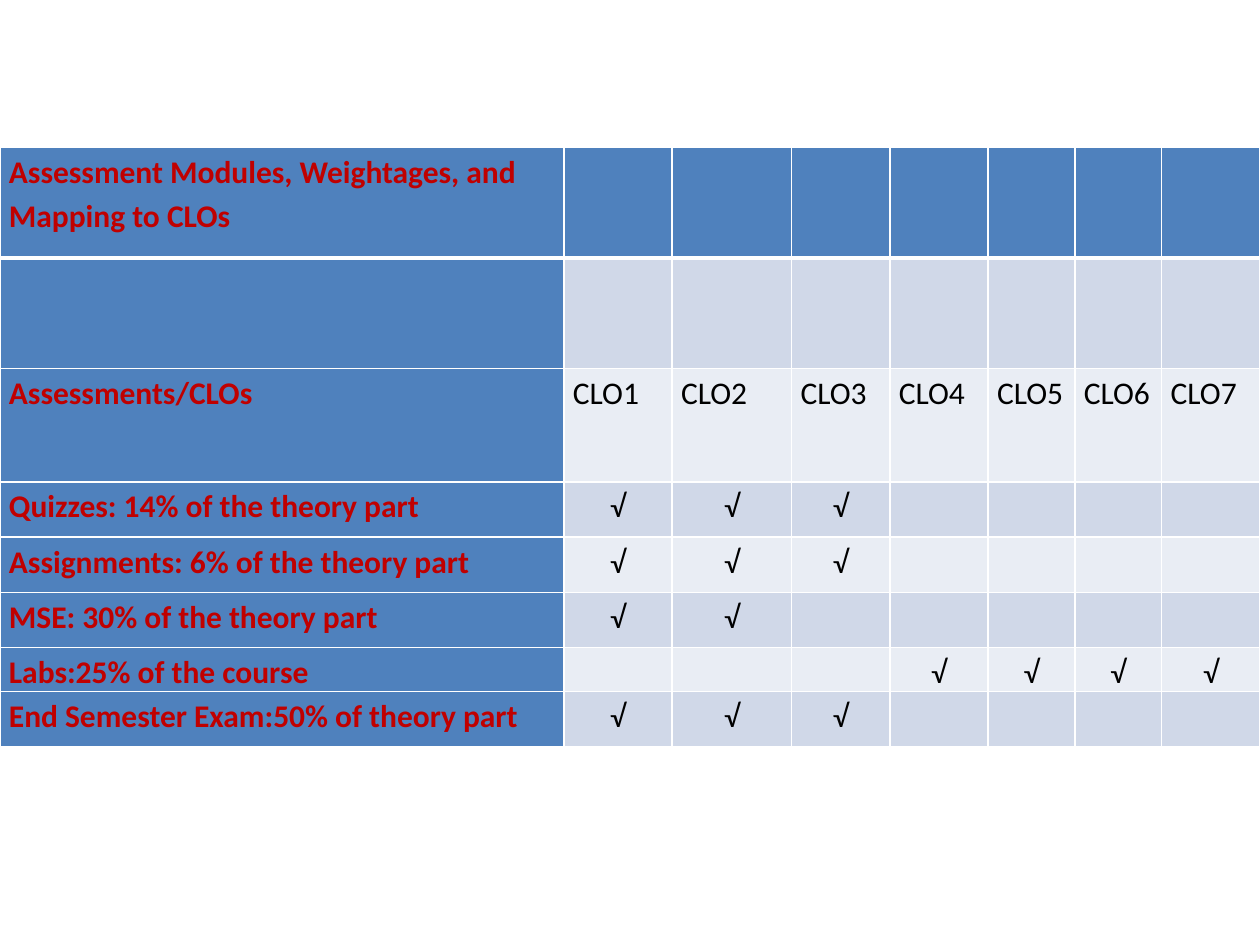
from lxml import etree
from pptx import Presentation
from pptx.dml.color import RGBColor
from pptx.enum.text import PP_ALIGN
from pptx.oxml.ns import qn
from pptx.util import Cm, Pt

LEFT, CENTER = PP_ALIGN.LEFT, PP_ALIGN.CENTER

COLORS = {
    "label fill": "4F81BD",
    "dark band": "D0D8E8",
    "light band": "E9EDF4",
    "border": "FFFFFF",
    "label text": "C00000",
    "text": "000000",
}
CHECK = "√"
COLUMN_WIDTHS = [11.37, 2.18, 2.41, 1.98, 1.98, 1.75, 1.75, 1.98]

# Row height, label, and the CLO numbers that are checked
ASSESSMENTS = [
    (1.11, "Quizzes: 14% of the theory part", (1, 2, 3)),
    (1.11, "Assignments: 6% of the theory part", (1, 2, 3)),
    (1.11, "MSE: 30% of the theory part", (1, 2)),
    (0.89, "Labs:25% of the course", (4, 5, 6, 7)),
    (1.11, "End Semester Exam:50% of theory part", (1, 2, 3)),
]


class SlideBuilder:
    font_name = "Calibri"
    font_size = Pt(18)

    def __init__(self, slide):
        self.slide = slide

    def add_table(self, left, top, widths, heights, rows):
        frame = self.slide.shapes.add_table(
            len(rows), len(widths), Cm(left), Cm(top),
            Cm(sum(widths)), Cm(sum(heights)))
        table = frame.table
        table.first_row = table.horz_banding = False
        for column, width in zip(table.columns, widths):
            column.width = Cm(width)
        for row, height in zip(table.rows, heights):
            row.height = Cm(height)
        for row_index, texts in enumerate(rows):
            for column_index, text in enumerate(texts):
                self.fill_cell(table.cell(row_index, column_index),
                               text, row_index, column_index)

    def fill_cell(self, cell, text, row_index, column_index):
        is_label = column_index == 0
        cell.margin_left = cell.margin_right = Cm(0.18)
        cell.margin_top = cell.margin_bottom = 0
        # The rule below the heading row is thicker
        self.add_borders(cell, {
            "L": 1, "R": 1,
            "T": 3 if row_index == 1 else 1,
            "B": 3 if row_index == 0 else 1,
        })
        if is_label or row_index == 0:
            fill = "label fill"
        else:
            fill = "dark band" if row_index % 2 else "light band"
        cell.fill.solid()
        cell.fill.fore_color.rgb = RGBColor.from_string(COLORS[fill])
        if text:
            self.add_text(cell, text, is_label)

    def add_borders(self, cell, widths):
        properties = cell._tc.get_or_add_tcPr()
        for side, width in widths.items():
            line = etree.SubElement(properties, qn(f"a:ln{side}"), w=str(Pt(width)))
            fill = etree.SubElement(line, qn("a:solidFill"))
            etree.SubElement(fill, qn("a:srgbClr"), val=COLORS["border"])

    def add_text(self, cell, text, is_label):
        paragraph = cell.text_frame.paragraphs[0]
        paragraph.alignment = CENTER if text == CHECK else LEFT
        paragraph.line_spacing = 1.15
        paragraph.space_after = Pt(10)
        run = paragraph.add_run()
        run.text = text
        font = run.font
        font.name, font.size, font.bold = self.font_name, self.font_size, is_label
        color = "label text" if is_label else "text"
        font.color.rgb = RGBColor.from_string(COLORS[color])


def main():
    presentation = Presentation()
    presentation.slide_width, presentation.slide_height = Cm(25.4), Cm(19.05)
    slide = presentation.slides.add_slide(presentation.slide_layouts[6])
    builder = SlideBuilder(slide)

    # Heading rows, then one row per assessment
    clos = range(1, len(COLUMN_WIDTHS))
    empty = [""] * len(clos)
    rows = [
        ["Assessment Modules, Weightages, and Mapping to CLOs", *empty],
        ["", *empty],
        ["Assessments/CLOs", *(f"CLO{number}" for number in clos)],
    ]
    heights = [2.23, 2.23, 2.29]
    for height, label, checked in ASSESSMENTS:
        heights.append(height)
        rows.append([label, *(CHECK if number in checked else "" for number in clos)])

    builder.add_table(0, 2.97, COLUMN_WIDTHS, heights, rows)
    presentation.save("out.pptx")


if __name__ == "__main__":
    main()
